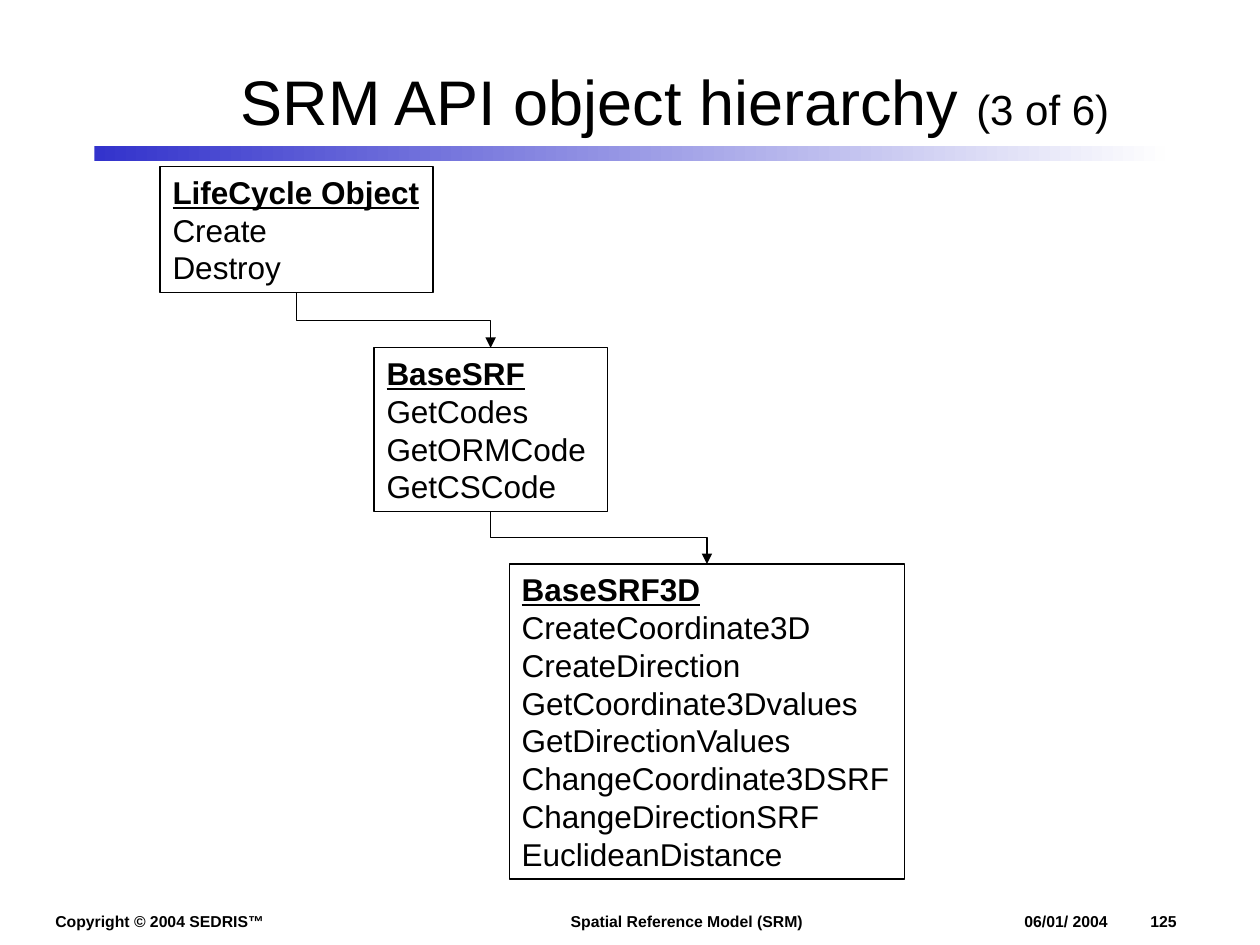
from lxml import etree
from pptx import Presentation
from pptx.dml.color import RGBColor
from pptx.enum.shapes import MSO_CONNECTOR as CONNECTOR, MSO_SHAPE as SHAPE
from pptx.enum.text import MSO_ANCHOR as ANCHOR, PP_ALIGN as ALIGN
from pptx.oxml import parse_xml
from pptx.oxml.ns import nsdecls, qn
from pptx.util import Pt

COLORS = {"ink": "000000", "paper": "FFFFFF", "bar_start": "3333CC", "bar_end": "FEFEFE"}
FONT = "Arial"
INSET_X, INSET_Y = 7.2, 3.6

CLASSES = [
    # box (left, top, width, height), class name, methods
    ((91.5, 95.2, 156, 72), "LifeCycle Object", ["Create", "Destroy"]),
    ((213.8, 198.8, 133.2, 93.6), "BaseSRF", ["GetCodes", "GetORMCode", "GetCSCode"]),
    ((291, 322.3, 226, 180), "BaseSRF3D",
     ["CreateCoordinate3D", "CreateDirection", "GetCoordinate3Dvalues", "GetDirectionValues",
      "ChangeCoordinate3DSRF", "ChangeDirectionSRF", "EuclideanDistance"]),
]
FOOTERS = [
    # box, text
    ((24.5, 517.7, 140, 18), "Copyright © 2004 SEDRIS™"),
    ((319, 517.3, 154, 18), "Spatial Reference Model (SRM)"),
    ((585.4, 517.3, 118, 18), "06/01/ 2004\t125"),
]


def rgb(name):
    return RGBColor.from_string(COLORS[name])


def points(box):
    return [Pt(value) for value in box]


def style(run, size, bold=False, underline=False):
    run.font.name = FONT
    run.font.size = Pt(size)
    run.font.bold = bold
    run.font.underline = underline
    run.font.color.rgb = rgb("ink")


def add_tab_stop(paragraph, position):
    tabs = etree.SubElement(paragraph._p.get_or_add_pPr(), qn("a:tabLst"))
    etree.SubElement(tabs, qn("a:tab"), pos=str(Pt(position)), algn="l")


def set_margins(frame, x, y):
    frame.margin_left = frame.margin_right = Pt(x)
    frame.margin_top = frame.margin_bottom = Pt(y)
    frame.word_wrap = True


def add_title(slide, box, heading, part):
    title = slide.shapes.title
    title.left, title.top, title.width, title.height = points(box)
    title.text_frame.vertical_anchor = ANCHOR.MIDDLE
    paragraph = title.text_frame.paragraphs[0]
    paragraph.alignment = ALIGN.CENTER
    for text, size in ((heading + " ", 36), (part, 24)):
        run = paragraph.add_run()
        run.text = text
        style(run, size)


def add_title_bar(slide, box):
    bar = slide.shapes.add_shape(SHAPE.RECTANGLE, *points(box))
    bar.shadow.inherit = False
    bar.line.fill.background()
    bar.fill.gradient()
    bar.fill.gradient_angle = 0
    for stop, name in zip(bar.fill.gradient_stops, ("bar_start", "bar_end")):
        stop.color.rgb = rgb(name)


def add_footer(slide, box, text):
    frame = slide.shapes.add_textbox(*points(box)).text_frame
    set_margins(frame, INSET_X if "\t" not in text else 0, INSET_Y)
    paragraph = frame.paragraphs[0]
    paragraph.text = text
    add_tab_stop(paragraph, 72)
    style(paragraph.runs[0], 9, bold=True)


def add_class_box(slide, box, name, methods):
    """Draw a class whose underlined name is ruled out to the right margin."""
    class_box = slide.shapes.add_shape(SHAPE.RECTANGLE, *points(box))
    class_box.shadow.inherit = False
    class_box.fill.solid()
    class_box.fill.fore_color.rgb = rgb("paper")
    class_box.line.color.rgb = rgb("ink")
    class_box.line.width = Pt(0.75)
    frame = class_box.text_frame
    set_margins(frame, INSET_X, INSET_Y)
    frame.vertical_anchor = ANCHOR.TOP
    ruled = " " not in name
    frame.text = "\n".join([name + "\t" * ruled, *methods])
    for row, paragraph in enumerate(frame.paragraphs):
        paragraph.alignment = ALIGN.LEFT
        if row == 0 and ruled:
            add_tab_stop(paragraph, box[2] - 2 * INSET_X - 0.2)
        style(paragraph.runs[0], 18, bold=row == 0, underline=row == 0)
    return class_box


def add_inheritance_arrow(slide, parent, child):
    """Join the parent's bottom to the child's top, leaving and arriving vertically."""
    start_x, start_y = parent.left + parent.width // 2, parent.top + parent.height
    end_x, end_y = child.left + child.width // 2, child.top
    arrow = slide.shapes.add_connector(CONNECTOR.ELBOW, start_x, start_y, end_x, end_y)
    arrow.begin_connect(parent, 2)
    arrow.end_connect(child, 0)
    # A quarter turn plus a flip makes the elbow start downwards.
    across, down = end_x - start_x, end_y - start_y
    arrow.left = (start_x + end_x - down) // 2
    arrow.top = (start_y + end_y - across) // 2
    arrow.width, arrow.height = down, across
    properties = arrow._element.spPr
    properties.xfrm.set("rot", "16200000")
    properties.xfrm.set("flipH", "1")
    arrow.line.color.rgb = rgb("ink")
    arrow.line.width = Pt(0.75)
    arrow.line._get_or_add_ln().append(parse_xml(f'<a:tailEnd {nsdecls("a")} type="triangle"/>'))
    etree.SubElement(properties, qn("a:effectLst"))


def main():
    deck = Presentation()
    deck.slide_width, deck.slide_height = Pt(720), Pt(540)
    slide = deck.slides.add_slide(deck.slide_layouts[5])
    add_title(slide, (87, 18, 597.6, 78.5), "SRM API object hierarchy", "(3 of 6)")
    add_title_bar(slide, (54, 83.5, 612, 8.5))
    for box, text in FOOTERS:
        add_footer(slide, box, text)
    class_boxes = [add_class_box(slide, *entry) for entry in CLASSES]
    for parent, child in zip(class_boxes, class_boxes[1:]):
        add_inheritance_arrow(slide, parent, child)
    deck.save("out.pptx")


if __name__ == "__main__":
    main()
